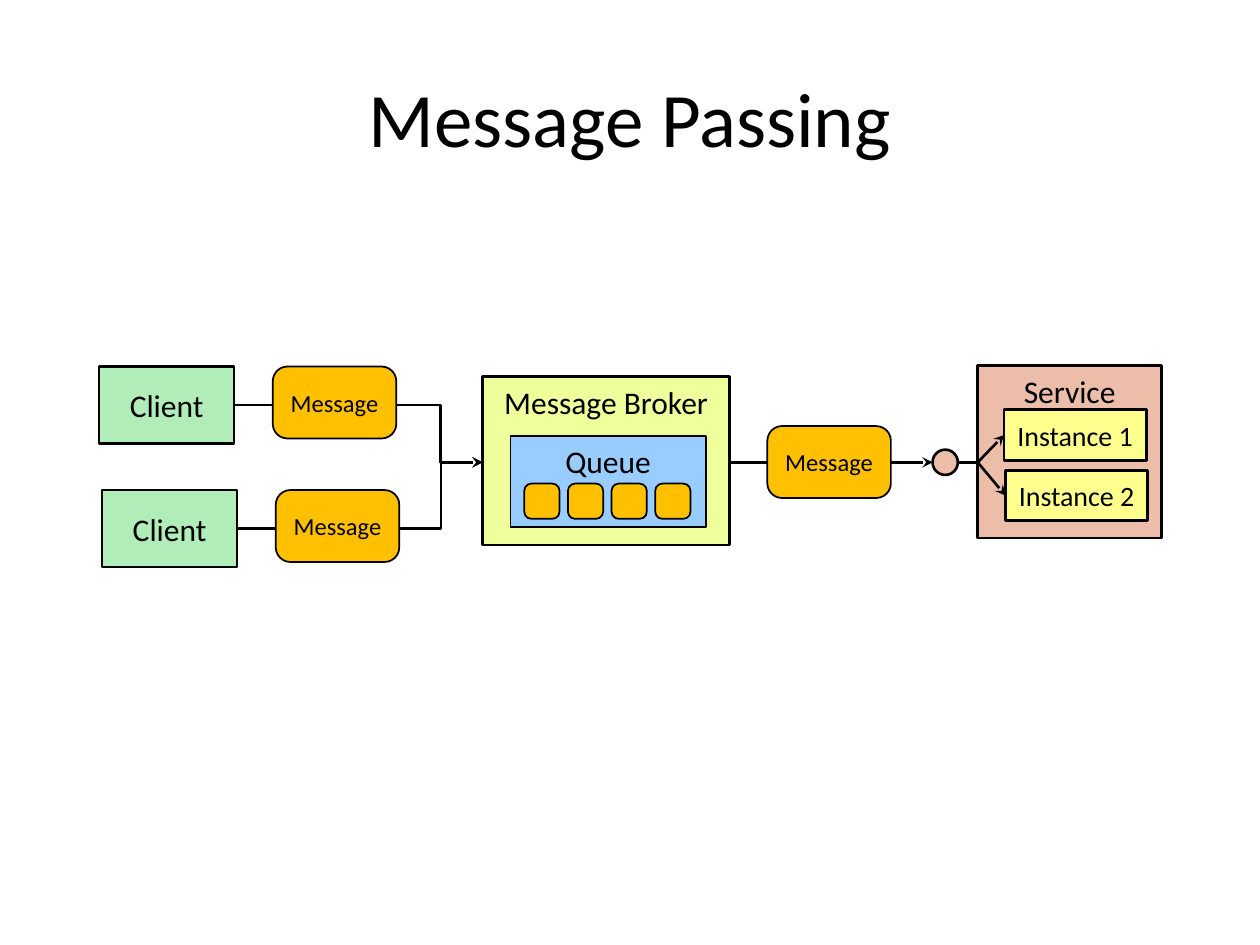
from lxml.etree import SubElement
from pptx import Presentation
from pptx.dml.color import RGBColor
from pptx.enum.shapes import MSO_CONNECTOR, MSO_SHAPE
from pptx.enum.text import MSO_ANCHOR, PP_ALIGN
from pptx.oxml.ns import qn
from pptx.util import Cm, Pt

BLACK = RGBColor(0x00, 0x00, 0x00)
GREEN = RGBColor(0xB1, 0xED, 0xB8)
ORANGE = RGBColor(0xFF, 0xC0, 0x00)
LIME = RGBColor(0xEE, 0xFF, 0x9B)
BLUE = RGBColor(0x99, 0xCC, 0xFF)
SALMON = RGBColor(0xEC, 0xBE, 0xAA)
YELLOW = RGBColor(0xFF, 0xFF, 0x8D)

FONT = "Calibri"
CORNER = 0.204
FLOW_Y = 9.32  # height of the main message flow, in cm


def set_text(shape, text, size, anchor=MSO_ANCHOR.MIDDLE, inset=0.25):
    frame = shape.text_frame
    frame.text = text
    frame.word_wrap = True
    frame.vertical_anchor = anchor
    frame.margin_left = frame.margin_right = Cm(inset)
    para = frame.paragraphs[0]
    para.alignment = PP_ALIGN.CENTER
    font = para.runs[0].font
    font.name, font.size, font.color.rgb = FONT, Pt(size), BLACK


def add_box(page, kind, left, top, width, height, fill, weight=1.5, corner=None):
    box = page.shapes.add_shape(kind, Cm(left), Cm(top), Cm(width), Cm(height))
    box.shadow.inherit = False
    box.fill.solid()
    box.fill.fore_color.rgb = fill
    box.line.color.rgb = BLACK
    box.line.width = Pt(weight)
    if corner is not None:
        box.adjustments[0] = corner
    return box


def add_line(page, start, end, arrow=True, bend=None):
    """Draw a line; bend is the share of the width at which an elbow turns."""
    kind = MSO_CONNECTOR.STRAIGHT if bend is None else MSO_CONNECTOR.ELBOW
    line = page.shapes.add_connector(kind, *(Cm(value) for value in start + end))
    line.line.color.rgb = BLACK
    line.line.width = Pt(1.5)
    properties = line.element.spPr
    if arrow:
        SubElement(properties.find(qn("a:ln")), qn("a:tailEnd"), type="stealth")
    if bend is not None:
        guides = properties.find(qn("a:prstGeom")).get_or_add_avLst()
        SubElement(guides, qn("a:gd"), name="adj1", fmla=f"val {round(bend * 100000)}")
    SubElement(properties, qn("a:effectLst"))


def add_title(page, left, top, width, height):
    title = page.shapes.add_textbox(Cm(left), Cm(top), Cm(width), Cm(height))
    set_text(title, "Message Passing", 44)


def add_message(page, left, top):
    message = add_box(page, MSO_SHAPE.ROUNDED_RECTANGLE, left, top, 2.49, 1.45,
                      ORANGE, 1, CORNER)
    set_text(message, "Message", 14, inset=0)


def add_client(page, left, top, target):
    """Client with its message on the line to the target."""
    width, height = 2.72, 1.55
    client = add_box(page, MSO_SHAPE.RECTANGLE, left, top, width, height, GREEN)
    set_text(client, "Client", 18)
    add_line(page, (left + width, top + height / 2), target, bend=0.83)
    add_message(page, left + 3.5, top)


def add_broker(page, left, top, width, height):
    broker = add_box(page, MSO_SHAPE.ROUNDED_RECTANGLE, left, top, width, height,
                     LIME, corner=0)
    set_text(broker, "Message Broker", 18, MSO_ANCHOR.TOP, inset=0.1)
    queue = add_box(page, MSO_SHAPE.FLOWCHART_PROCESS, left + 0.56, top + 1.2,
                    3.94, 1.83, BLUE, 1)
    set_text(queue, "Queue", 18, MSO_ANCHOR.TOP)
    # Queued messages
    for index in range(4):
        add_box(page, MSO_SHAPE.ROUNDED_RECTANGLE, left + 0.84 + index * 0.88,
                top + 2.16, 0.71, 0.71, ORANGE, 1, CORNER)


def add_service(page, left, top, width, height):
    service = add_box(page, MSO_SHAPE.RECTANGLE, left, top, width, height, SALMON)
    set_text(service, "Service", 18, MSO_ANCHOR.TOP)
    # Entry point
    port, size = (left, FLOW_Y), 0.51
    circle_left = left - 0.91
    add_box(page, MSO_SHAPE.OVAL, circle_left, FLOW_Y - size / 2, size, size, SALMON)
    add_line(page, port, (circle_left + size, FLOW_Y), arrow=False)
    # Instances that receive the messages
    for index in range(2):
        x, y = left + 0.53 + index * 0.03, top + 0.89 + index * 1.22
        instance = add_box(page, MSO_SHAPE.RECTANGLE, x, y, 2.87, 1.02, YELLOW)
        set_text(instance, f"Instance {index + 1}", 16, inset=0.1)
        add_line(page, port, (x, y + 0.51))


def main():
    deck = Presentation()
    deck.slide_width, deck.slide_height = Cm(25.4), Cm(19.05)
    page = deck.slides.add_slide(deck.slide_layouts[6])

    add_title(page, 1.27, 0.76, 22.86, 3.18)
    broker_left, broker_width = 9.73, 4.98
    for left, top in ((2, 7.39), (2.06, 9.88)):
        add_client(page, left, top, (broker_left, FLOW_Y))
    add_broker(page, broker_left, 7.59, broker_width, 3.4)
    # Delivery from the broker to the service
    add_line(page, (broker_left + broker_width, FLOW_Y), (18.8, FLOW_Y))
    add_message(page, 15.47, 8.59)
    add_service(page, 19.71, 7.37, 3.71, 3.48)

    deck.save("out.pptx")


if __name__ == "__main__":
    main()
